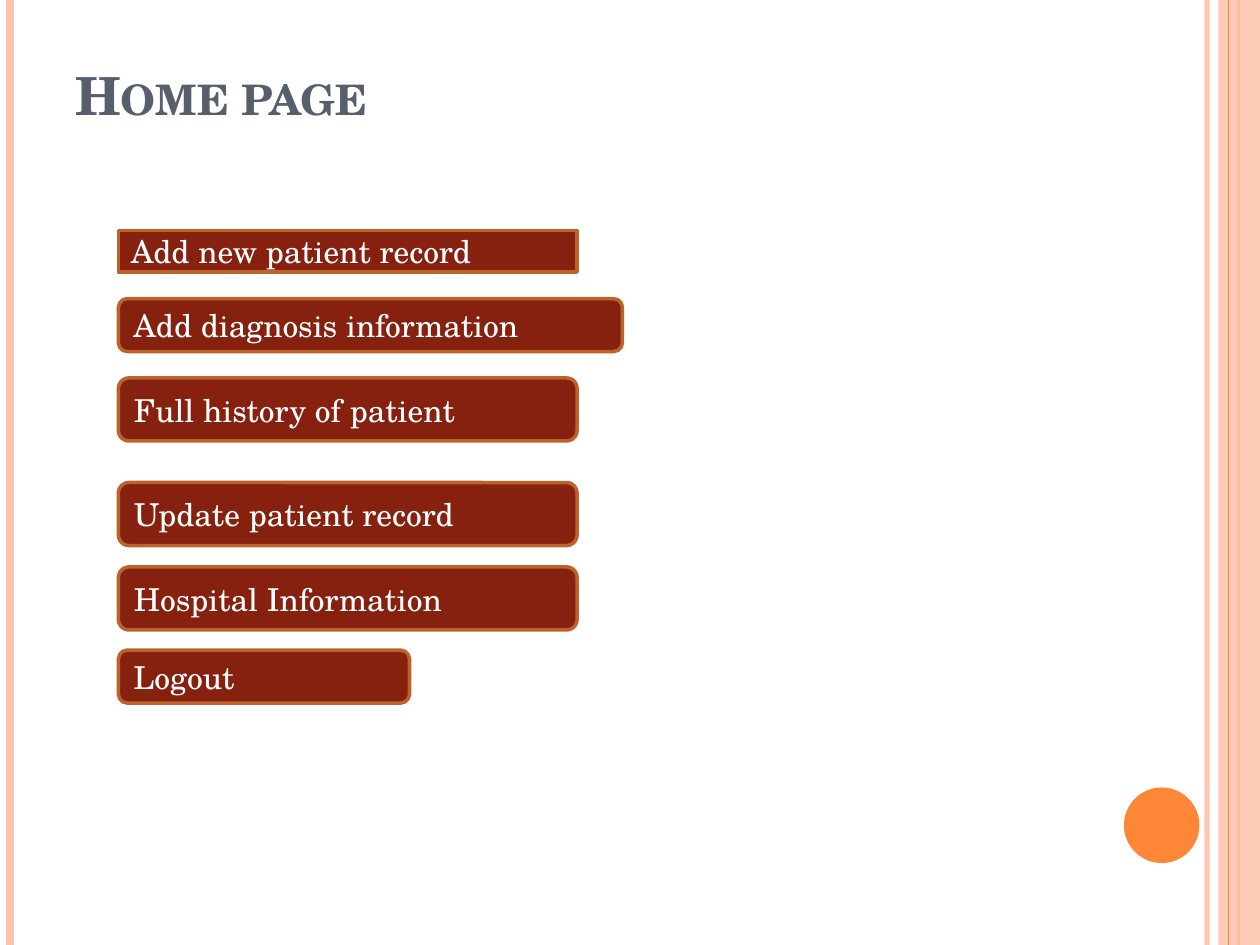
from lxml import etree
from pptx import Presentation
from pptx import util as u
from pptx.dml.color import RGBColor
from pptx.enum import shapes, text
from pptx.oxml.ns import qn

# Content: label, top, width, height, corner style (inches)
TITLE = "Home page"
BUTTONS = [
    ("Add new patient record", 1.83, 3.64, 0.33, "RECTANGLE"),
    ("Add diagnosis information", 2.37, 4, 0.42, "ROUNDED_RECTANGLE"),
    ("Full history of patient", 3, 3.64, 0.5, "ROUNDED_RECTANGLE"),
    ("Update patient record", 3.83, 3.64, 0.5, "ROUNDED_RECTANGLE"),
    ("Hospital Information", 4.5, 3.64, 0.5, "ROUNDED_RECTANGLE"),
    ("Logout", 5.16, 2.31, 0.42, "ROUNDED_RECTANGLE"),
]
# Vertical rules: x, colour, width in points, opacity in percent
RULES_BEHIND = [(9.58, "peach", 3, 93), (0.08, "peach", 4.5, 100), (9.83, "orange", 1.5, 100)]
RULES_FRONT = [(9.75, "orange", 0.75, 100)]

W, H = 10, 7.5
BUTTON_LEFT = 0.94
FONT = "TeX Gyre Schola"
COLORS = {"peach": "FEC3AE", "orange": "FE8637", "slate": "575F6D",
          "maroon": "862110", "rust": "BC6329", "white": "FFFFFF"}
TITLE_FONT = {"name": FONT, "size": u.Pt(30), "bold": True}
BUTTON_FONT = {"name": FONT, "size": u.Pt(18), "bold": False}

prs = Presentation()
prs.slide_width, prs.slide_height = u.Inches(W), u.Inches(H)
s = prs.slides.add_slide(prs.slide_layouts[6])


def paint(fill, color, opacity=100):
    fill.solid()
    fill.fore_color.rgb = RGBColor.from_string(COLORS[color])
    if opacity < 100:
        clr = fill._xPr.find(qn("a:solidFill"))[0]
        etree.SubElement(clr, qn("a:alpha")).set("val", str(opacity * 1000))


def add_rule(x, color, width, opacity):
    c = s.shapes.add_connector(shapes.MSO_CONNECTOR.STRAIGHT,
                               u.Inches(x), 0, u.Inches(x), u.Inches(H))
    c.line.width = u.Pt(width)
    paint(c.line.fill, color, opacity)
    etree.SubElement(c._element.spPr, qn("a:effectLst"))


def add_box(kind, box, color, opacity=100, border=None):
    sp = s.shapes.add_shape(shapes.MSO_SHAPE[kind], *map(u.Inches, box))
    sp.shadow.inherit = False
    paint(sp.fill, color, opacity)
    if border:
        sp.line.width = u.Pt(2)
        paint(sp.line.fill, border)
    else:
        sp.line.fill.background()
    return sp


def write(tf, words, font, color, anchor):
    tf.word_wrap = True
    tf.vertical_anchor = anchor
    p = tf.paragraphs[0]
    p.alignment = text.PP_ALIGN.LEFT
    r = p.add_run()
    r.text = words
    for name, value in font.items():
        setattr(r.font, name, value)
    r.font.color.rgb = RGBColor.from_string(COLORS[color])
    return r


# Side bands and corner disc
for rule in RULES_BEHIND:
    add_rule(*rule)
add_box("RECTANGLE", (9.67, 0, W - 9.67, H), "peach", 87)
for rule in RULES_FRONT:
    add_rule(*rule)
add_box("OVAL", (8.92, 6.25, 0.6, 0.6), "orange")

# Title in small capitals, raised one line above the bottom of its box
title = s.shapes.add_textbox(*map(u.Inches, (0.5, 0.3, 8.17, 1.25)))
title.text_frame.margin_bottom = u.Inches(0.55)
r = write(title.text_frame, TITLE, TITLE_FONT, "slate", text.MSO_ANCHOR.BOTTOM)
r.font._element.set("cap", "small")

# Menu buttons
for label, top, width, height, kind in BUTTONS:
    sp = add_box(kind, (BUTTON_LEFT, top, width, height), "maroon", border="rust")
    write(sp.text_frame, label, BUTTON_FONT, "white", text.MSO_ANCHOR.MIDDLE)

prs.save("out.pptx")
